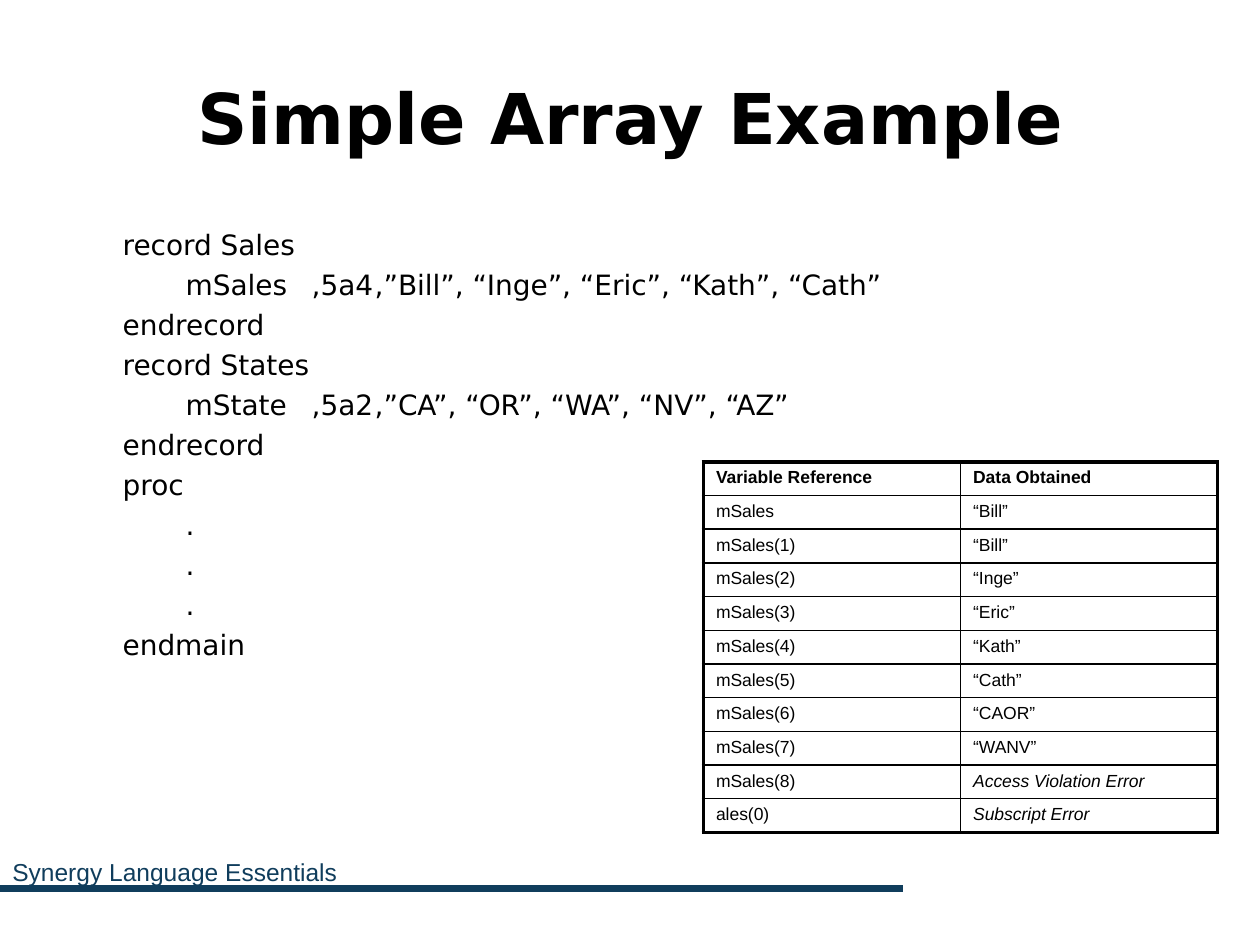
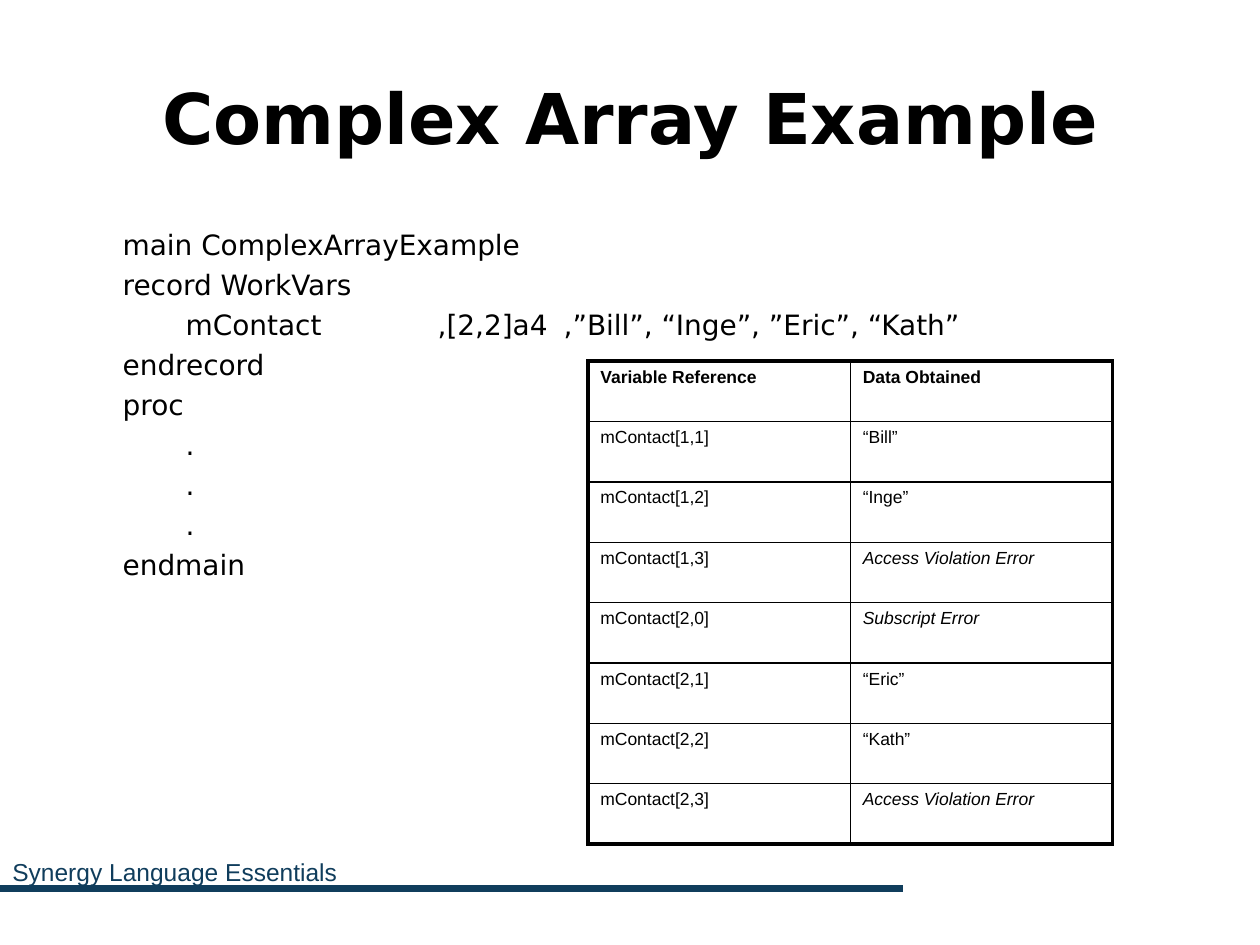
import pptx
import pptx.dml.color
import pptx.enum.shapes
import pptx.enum.text
import pptx.oxml
import pptx.oxml.ns
import pptx.util
import lxml.etree

Cm = pptx.util.Cm
Pt = pptx.util.Pt
BLACK = pptx.dml.color.RGBColor(0x00, 0x00, 0x00)
NAVY = pptx.dml.color.RGBColor(0x10, 0x3D, 0x5C)

SALES_CODE = [
    "record Sales",
    "\tmSales\t,5a4\t,”Bill”, “Inge”, “Eric”, “Kath”, “Cath”",
    "endrecord",
    "record States",
    "\tmState\t,5a2\t,”CA”, “OR”, “WA”, “NV”, “AZ”",
    "endrecord",
    "proc",
    "\t.",
    "\t.",
    "\t.",
    "endmain",
]
SALES_RESULTS = [
    ("mSales", "“Bill”"),
    ("mSales(1)", "“Bill”"),
    ("mSales(2)", "“Inge”"),
    ("mSales(3)", "“Eric”"),
    ("mSales(4)", "“Kath”"),
    ("mSales(5)", "“Cath”"),
    ("mSales(6)", "“CAOR”"),
    ("mSales(7)", "“WANV”"),
    ("mSales(8)", "Access Violation Error"),
    ("ales(0)", "Subscript Error"),
]
CONTACT_CODE = [
    "main ComplexArrayExample",
    "record WorkVars",
    "\tmContact\t\t,[2,2]a4\t,”Bill”, “Inge”, ”Eric”, “Kath”",
    "endrecord",
    "proc",
    "\t.",
    "\t.",
    "\t.",
    "endmain",
]
CONTACT_RESULTS = [
    ("mContact[1,1]", "“Bill”"),
    ("mContact[1,2]", "“Inge”"),
    ("mContact[1,3]", "Access Violation Error"),
    ("mContact[2,0]", "Subscript Error"),
    ("mContact[2,1]", "“Eric”"),
    ("mContact[2,2]", "“Kath”"),
    ("mContact[2,3]", "Access Violation Error"),
]


class Deck:
    code_font = "DejaVu Sans"
    text_font = "Arial"
    thin = Pt(1)
    thick = Pt(2.25)

    def __init__(self):
        self.presentation = pptx.Presentation()
        self.presentation.slide_width = Cm(25.4)
        self.presentation.slide_height = Cm(19.05)
        self.slide = None

    def add_slide(self, title, code):
        layout = self.presentation.slide_layouts[1]
        self.slide = self.presentation.slides.add_slide(layout)
        self.add_rule()
        self.add_title(title)
        self.add_code(code)
        self.add_footer()

    def style(self, paragraph, name, size, color=BLACK, bold=False, italic=False):
        font = paragraph.font
        font.name = name
        font.size = Pt(size)
        font.color.rgb = color
        font.bold = bold
        font.italic = italic

    def place(self, shape, left, top, width, height):
        shape.left, shape.top = Cm(left), Cm(top)
        shape.width, shape.height = Cm(width), Cm(height)

    def add_rule(self):
        rule = self.slide.shapes.add_connector(
            pptx.enum.shapes.MSO_CONNECTOR.STRAIGHT,
            Cm(-0.2), Cm(17.91), Cm(18.2), Cm(17.91))
        rule.line.color.rgb = NAVY
        rule.line.width = Pt(4.5)
        lxml.etree.SubElement(rule._element.spPr, pptx.oxml.ns.qn("a:effectLst"))

    def add_title(self, text):
        shape = self.slide.shapes.title
        self.place(shape, 1.27, 0.76, 22.86, 3.18)
        frame = shape.text_frame
        frame.text = text
        frame.auto_size = pptx.enum.text.MSO_AUTO_SIZE.NONE
        frame.vertical_anchor = pptx.enum.text.MSO_ANCHOR.MIDDLE
        paragraph = frame.paragraphs[0]
        paragraph.alignment = pptx.enum.text.PP_ALIGN.CENTER
        self.style(paragraph, self.code_font, 40, bold=True)

    def add_code(self, lines):
        shape = self.slide.placeholders[1]
        self.place(shape, 1.27, 4.45, 22.86, 12.57)
        frame = shape.text_frame
        frame.text = "\n".join(lines)
        frame.auto_size = pptx.enum.text.MSO_AUTO_SIZE.NONE
        for paragraph in frame.paragraphs:
            paragraph.space_before = Pt(3.7)
            self.style(paragraph, self.code_font, 16)
            properties = paragraph._p.get_or_add_pPr()
            properties.set("marL", str(Cm(0.95)))
            properties.set("indent", "0")
            bullet = pptx.oxml.ns.qn("a:buNone")
            properties.insert_element_before(
                properties.makeelement(bullet), "a:tabLst", "a:defRPr", "a:extLst")

    def add_footer(self):
        shape = self.slide.shapes.add_textbox(0, Cm(17.15), Cm(11), Cm(1.27))
        frame = shape.text_frame
        frame.word_wrap = True
        frame.text = "Synergy Language Essentials"
        self.style(frame.paragraphs[0], self.text_font, 14, NAVY)

    def add_results(self, results, left, top, width, height):
        rows = [("Variable Reference", "Data Obtained")] + results
        table = self.slide.shapes.add_table(
            len(rows), 2, Cm(left), Cm(top), Cm(width), Cm(height)).table
        table.first_row = False
        table.horz_banding = False
        for row_index, texts in enumerate(rows):
            table.rows[row_index].height = Cm(height / len(rows))
            for column_index, text in enumerate(texts):
                cell = table.cell(row_index, column_index)
                cell.text = text
                self.style(cell.text_frame.paragraphs[0], self.text_font, 10,
                           bold=row_index == 0, italic=text.endswith("Error"))
                self.add_borders(cell, {
                    "lnL": column_index == 0,
                    "lnR": column_index == 1,
                    "lnT": row_index == 0,
                    "lnB": row_index == len(rows) - 1,
                })
                cell.fill.background()

    def add_borders(self, cell, outer_edges):
        properties = cell._tc.get_or_add_tcPr()
        for tag, outer in outer_edges.items():
            width = self.thick if outer else self.thin
            properties.append(pptx.oxml.parse_xml(
                f'<a:{tag} {pptx.oxml.ns.nsdecls("a")} w="{width}">'
                f'<a:solidFill><a:srgbClr val="{BLACK}"/></a:solidFill></a:{tag}>'))


def main():
    deck = Deck()
    deck.add_slide("Simple Array Example", SALES_CODE)
    deck.add_results(SALES_RESULTS, 14.18, 9.31, 10.37, 7.44)
    deck.add_slide("Complex Array Example", CONTACT_CODE)
    deck.add_results(CONTACT_RESULTS, 11.85, 7.28, 10.58, 9.74)
    deck.presentation.save("out.pptx")


if __name__ == "__main__":
    main()
